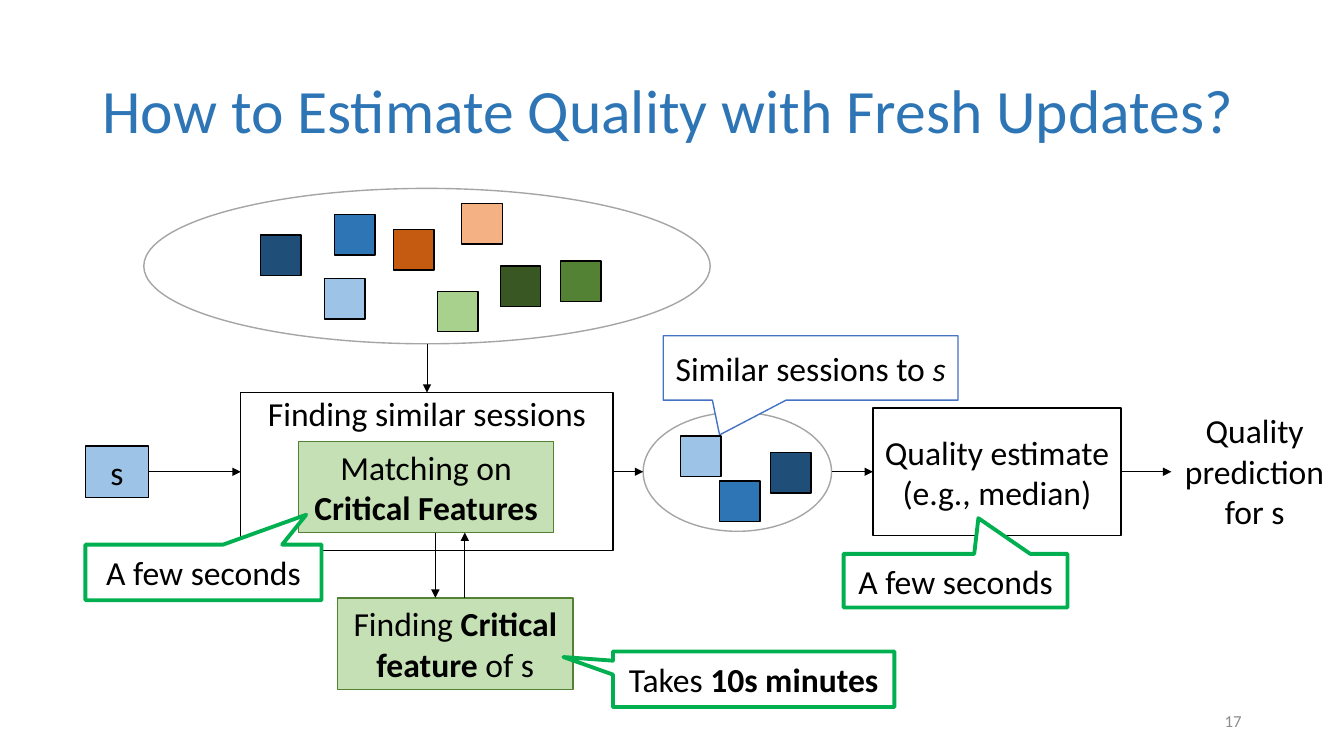
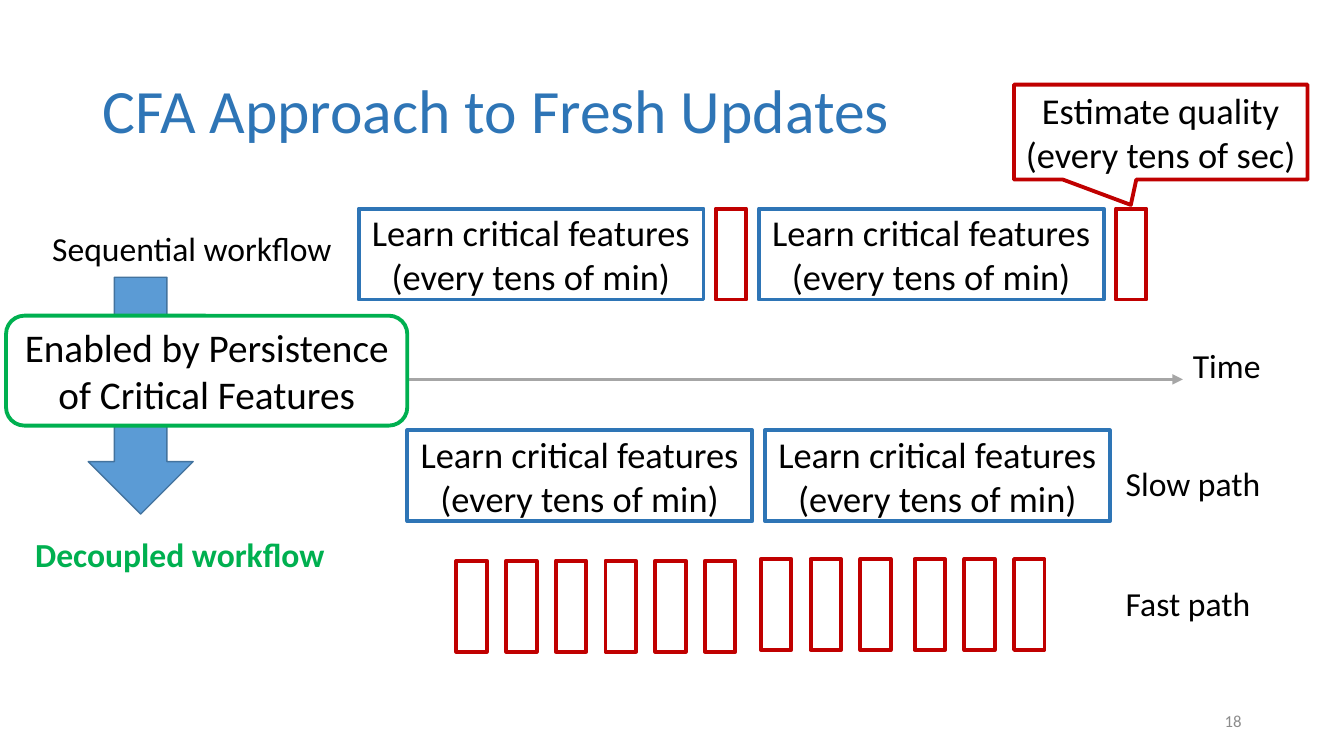
from lxml.etree import SubElement
from pptx import Presentation
from pptx.dml.color import RGBColor
from pptx.enum.shapes import MSO_CONNECTOR, MSO_SHAPE
from pptx.enum.text import MSO_ANCHOR, MSO_AUTO_SIZE, PP_ALIGN
from pptx.oxml.ns import qn
from pptx.util import Pt

FONT = "Calibri"
BLACK, WHITE, GRAY = "000000", "FFFFFF", "A5A5A5"
NAVY, BLUE, SKY = "1F4E79", "2E75B6", "9DC3E6"
GREEN, LEAF, PALE_GREEN, RED = "00B050", "548235", "C5E0B4", "C00000"
THICK = 2.75
TOP, LEFT, BOTTOM, RIGHT = range(4)
TITLE_ONLY = 5


def color(hex_string):
    return RGBColor.from_string(hex_string)


class SlideBuilder:
    """Holds the deck, its style and the slide being built."""

    def __init__(self):
        self.deck = Presentation()
        self.deck.slide_width, self.deck.slide_height = Pt(960), Pt(540)
        self.page = None

    def new_slide(self, title, number, title_width=828):
        self.page = self.deck.slides.add_slide(self.deck.slide_layouts[TITLE_ONLY])
        box = self.page.shapes.title
        box.left, box.top, box.width, box.height = Pt(66), Pt(28.75), Pt(title_width), Pt(104.4)
        self.set_text(box, title, 44, BLUE, PP_ALIGN.LEFT)
        box.text_frame.paragraphs[0].line_spacing = 0.9
        self.label(678, 500.5, 216, 28.75, str(number), 12, "8C8C8C",
                   align=PP_ALIGN.RIGHT, anchor=MSO_ANCHOR.MIDDLE)

    def set_text(self, box, text, size=24, ink=BLACK, align=PP_ALIGN.CENTER,
                 anchor=MSO_ANCHOR.MIDDLE, wrap=True, emphasis="bold"):
        """Lines become paragraphs; text between asterisks gets the emphasis."""
        frame = box.text_frame
        frame.auto_size = MSO_AUTO_SIZE.NONE
        frame.word_wrap = wrap
        frame.vertical_anchor = anchor
        for index, line in enumerate(text.split("\n")):
            para = frame.add_paragraph() if index else frame.paragraphs[0]
            para.alignment = align
            para.font.name, para.font.size = FONT, Pt(size)
            para.font.color.rgb = color(ink)
            for position, part in enumerate(line.split("*")):
                if part:
                    span = para.add_run()
                    span.text = part
                    if position % 2:
                        setattr(span.font, emphasis, True)

    def label(self, left, top, width, height, text, size=24, ink=BLACK,
              align=PP_ALIGN.LEFT, anchor=MSO_ANCHOR.TOP, wrap=False):
        box = self.page.shapes.add_textbox(Pt(left), Pt(top), Pt(width), Pt(height))
        self.set_text(box, text, size, ink, align, anchor, wrap)

    def shape(self, kind, left, top, width, height, fill=WHITE, line=BLACK, weight=1,
              text="", adjustments=(), **text_style):
        box = self.page.shapes.add_shape(kind, Pt(left), Pt(top), Pt(width), Pt(height))
        box.shadow.inherit = False
        box.fill.solid()
        box.fill.fore_color.rgb = color(fill)
        box.line.color.rgb = color(line)
        box.line.width = Pt(weight)
        for index, value in enumerate(adjustments):
            box.adjustments[index] = value
        if text:
            self.set_text(box, text, **text_style)
        return box

    def rectangle(self, *bounds, **style):
        return self.shape(MSO_SHAPE.RECTANGLE, *bounds, **style)

    def ellipse(self, *bounds):
        return self.shape(MSO_SHAPE.OVAL, *bounds, line=GRAY)

    def callout(self, *bounds, tip, line=GREEN, weight=THICK, **style):
        """The tip is measured from the centre, in fractions of the size."""
        return self.shape(MSO_SHAPE.RECTANGULAR_CALLOUT, *bounds, adjustments=tip,
                          line=line, weight=weight, **style)

    def session(self, left, top, fill):
        self.rectangle(left, top, 29, 29, fill=fill)

    def arrow(self, start, end, source=None, target=None, ink=BLACK, weight=0.5):
        """Source and target are (rectangle, side) pairs to join."""
        link = self.page.shapes.add_connector(
            MSO_CONNECTOR.STRAIGHT, *(Pt(value) for value in start + end))
        if source:
            link.begin_connect(*source)
        if target:
            link.end_connect(*target)
        link.line.color.rgb = color(ink)
        link.line.width = Pt(weight)
        properties = link._element.spPr
        SubElement(properties.find(qn("a:ln")), qn("a:tailEnd"), type="triangle")
        SubElement(properties, qn("a:effectLst"))

    def learning_step(self, left, top):
        self.rectangle(left, top, 246.3, 65, line=BLUE, weight=THICK, size=26,
                       text="Learn critical features\n(every tens of min)")

    def estimate_step(self, left, top):
        self.rectangle(left, top, 21.8, 65, line=RED, weight=THICK)


def build_estimation(slide):
    slide.new_slide("How to Estimate Quality with Fresh Updates?", 17, 869)
    axis = 337
    slide.ellipse(459.4, axis - 42.5, 134.6, 85)
    finder = slide.rectangle(172, axis - 56.5, 266, 113, text="Finding similar sessions",
                             anchor=MSO_ANCHOR.TOP)
    finder.text_frame.margin_top = 0
    slide.ellipse(102.7, 134.6, 404.6, 111)
    session = slide.rectangle(61, axis - 18.5, 45, 37, fill=SKY, text="s")
    slide.arrow((106, axis), (172, axis), (session, RIGHT), (finder, LEFT))
    slide.arrow((305, 245.6), (305, 280.5), target=(finder, TOP))
    slide.callout(473.8, 239.8, 210.5, 46, tip=(-0.309, 1.04), line="4472C4", weight=1,
                  text="Similar sessions to *s*", emphasis="italic")
    estimate = slide.rectangle(623.5, axis - 45.5, 177.2, 91,
                               text="Quality estimate\n(e.g., median)")
    slide.label(836.7, 289.5, 119, 94.3, "Quality prediction\nfor s",
                align=PP_ALIGN.CENTER, wrap=True)
    slide.arrow((800.7, axis), (836.7, axis), source=(estimate, RIGHT))
    slide.rectangle(213.2, 315.4, 182.3, 65, fill=PALE_GREEN, line=LEAF,
                    text="Matching on *Critical Features*")
    slide.rectangle(241.2, 427, 168, 65.5, fill=PALE_GREEN, line=LEAF,
                    text="Finding *Critical feature *of s")
    slide.arrow((332, 427), (332, 380.4))
    slide.arrow((311, 380.4), (311, 427))
    slide.callout(602.6, 395.6, 160, 38.3, tip=(0.102, -1.166), text="A few seconds")
    slide.callout(61, 389, 168.7, 39.7, tip=(0.435, -1.037), text="A few seconds")
    slide.callout(437.8, 465.3, 201, 39.7, tip=(-0.676, -0.399), text="Takes* 10s minutes*")
    sessions = [
        (186, 167.8, NAVY), (239, 153.2, BLUE), (231.7, 198.8, SKY), (312.5, 208, "A9D18E"),
        (281, 164, "C55A11"), (329.8, 145.2, "F4B183"), (400.3, 186.5, LEAF),
        (357.3, 190, "385723"),
        (486, 311.5, SKY), (514, 343.6, BLUE), (550.3, 323.3, NAVY),
    ]
    for left, top, fill in sessions:
        slide.session(left, top, fill)
    slide.arrow((438, axis), (459.4, axis), source=(finder, RIGHT))
    slide.arrow((594, axis), (623.5, axis), target=(estimate, LEFT))


def build_workflows(slide):
    slide.new_slide("CFA Approach to Fresh Updates", 18)
    slide.label(845, 242.6, 63.5, 36, "Time")
    slide.arrow((231, 271), (845, 271), ink="A6A6A6", weight=2.5)
    for left in (256.2, 542.1):
        slide.learning_step(left, 149)
        slide.estimate_step(left + 255, 149)
    for left in (291, 546.5):
        slide.learning_step(left, 307.3)
    for first, top, count in ((326, 400.5, 6), (543.5, 399.3, 3), (653.3, 399.3, 3)):
        for step in range(count):
            slide.estimate_step(first + step * 35.5, top)
    slide.callout(724.3, 60.5, 209.7, 67.8, tip=(-0.102, 0.767), line=RED, size=26,
                  text="Estimate quality\n(every tens of sec)")
    slide.label(30.2, 159, 216.7, 36, "Sequential workflow")
    slide.label(18, 378, 223, 36, "*Decoupled workflow*", ink=GREEN)
    slide.shape(MSO_SHAPE.DOWN_ARROW, 63, 198, 75, 169.2, fill="5B9BD5", line="43739E")
    slide.label(797, 327, 111.6, 36, "Slow path")
    slide.label(797, 412.6, 104.4, 36, "Fast path")
    slide.shape(MSO_SHAPE.ROUNDED_RECTANGLE, 4.3, 225.5, 286.6, 78.5, line=GREEN,
                weight=THICK, text="Enabled by Persistence of Critical Features", size=28)


def main():
    slide = SlideBuilder()
    build_estimation(slide)
    build_workflows(slide)
    slide.deck.save("out.pptx")


if __name__ == "__main__":
    main()
